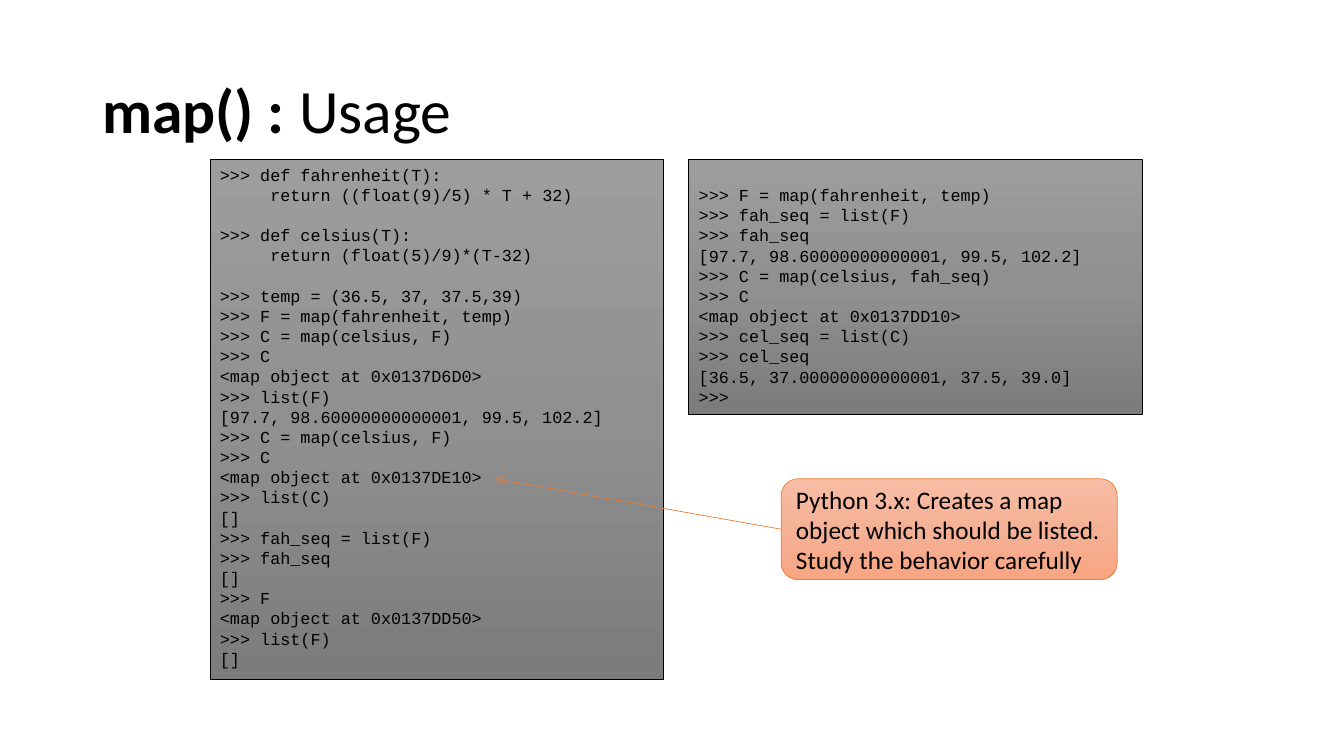
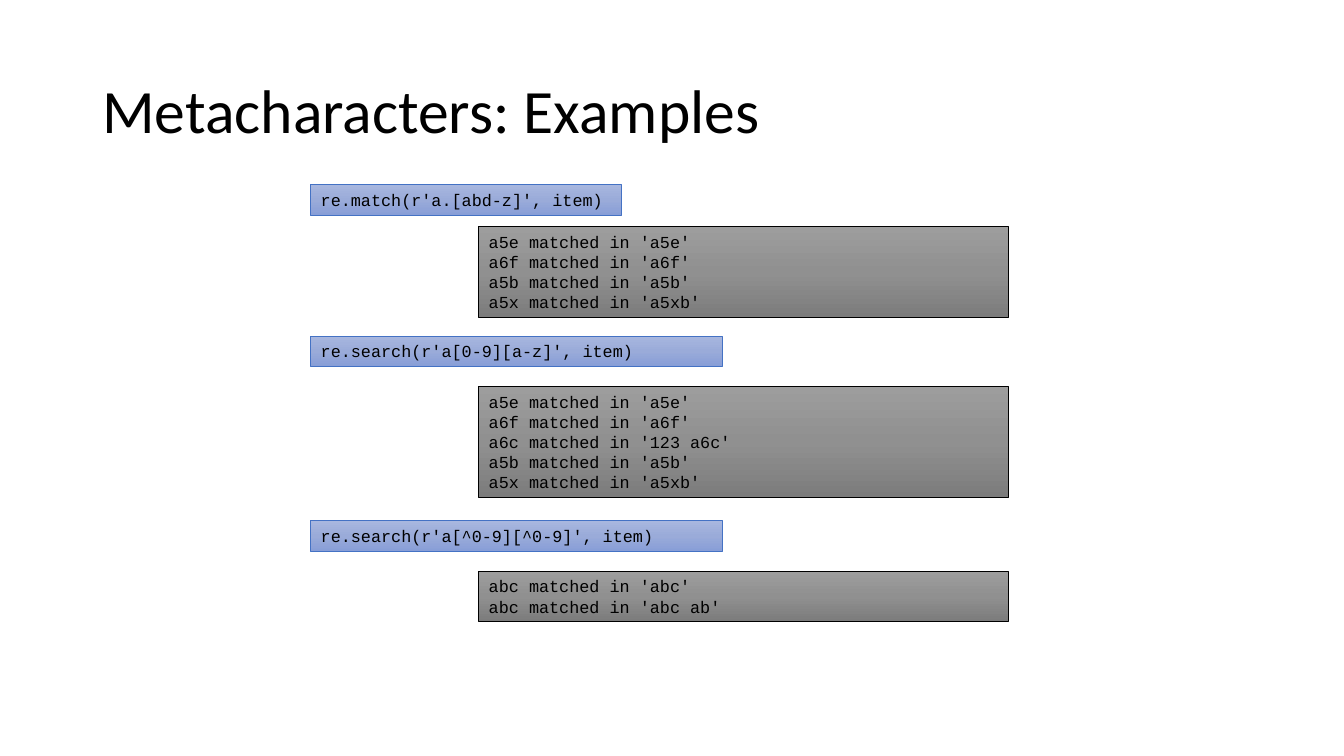
import copy

import pptx
import pptx.dml.color
import pptx.enum.shapes
import pptx.enum.text
import pptx.oxml
import pptx.oxml.ns
import pptx.util

Pt = pptx.util.Pt
RGB = pptx.dml.color.RGBColor.from_string
SHAPE = pptx.enum.shapes.MSO_SHAPE
ANCHOR = pptx.enum.text.MSO_ANCHOR
qn = pptx.oxml.ns.qn

COLORS = {"text": "000000", "code": "000000", "label": "4472C4", "callout": "ED7D31"}
GRADIENTS = {
    "code": ("9D9D9D", "909090", "7C7C7C"),
    "label": ("A8B7DF", "9AABD9", "889ED7"),
    "callout": ("F7BDA5", "F5B196", "F8A582"),
}
TITLE_FONT = {"name": "Calibri", "size": Pt(44)}
CODE_FONT = {"name": "Courier New", "size": Pt(12)}
CALLOUT_FONT = {"name": "Calibri", "size": Pt(18)}
LINE = 14.4  # height of a line of code
INSET = 3.6  # space above and below the text of a box

prs = pptx.Presentation()
prs.slide_width, prs.slide_height = Pt(960), Pt(540)


def add_titled_slide(bold, plain):
    """Add a blank slide whose title starts in bold and goes on in regular weight."""
    s = prs.slides.add_slide(prs.slide_layouts[6])
    tf = s.shapes.add_textbox(Pt(66), Pt(29), Pt(828), Pt(104)).text_frame
    tf.word_wrap = True
    tf.vertical_anchor = ANCHOR.MIDDLE
    p = tf.paragraphs[0]
    p.line_spacing = 0.9
    for text, is_bold in ((bold, True), (plain, False)):
        if text:
            r = p.add_run()
            r.text = text
            for key, value in TITLE_FONT.items():
                setattr(r.font, key, value)
            r.font.bold = is_bold
            r.font.color.rgb = RGB(COLORS["text"])
    return s


def add_box(s, style, box, text, top_lines=0):
    """Add a gradient box; blank lines in text become space before the next line."""
    is_code = style != "callout"
    shape = SHAPE.RECTANGLE if is_code else SHAPE.ROUNDED_RECTANGLE
    sp = s.shapes.add_shape(shape, *map(Pt, box))
    sp.shadow.inherit = False
    sp.line.color.rgb = RGB(COLORS[style])
    sp.line.width = Pt(0.5)
    sp.fill.gradient()
    sp.fill.gradient_angle = 270
    stops = sp._element.spPr.find(".//" + qn("a:gsLst"))
    stops.insert(1, copy.deepcopy(stops[0]))
    for i, (stop, color) in enumerate(zip(sp.fill.gradient_stops, GRADIENTS[style])):
        stop.position = i / 2
        stop.color.rgb = RGB(color)

    tf = sp.text_frame
    tf.word_wrap = True
    tf.vertical_anchor = ANCHOR.TOP if is_code else ANCHOR.MIDDLE
    tf.margin_top = Pt(INSET + top_lines * LINE)
    p, blanks = None, 0
    for line in text.strip().split("\n"):
        if not line:
            blanks += 1
            continue
        p = tf.add_paragraph() if p else tf.paragraphs[0]
        p.alignment = pptx.enum.text.PP_ALIGN.LEFT
        if is_code:
            p.line_spacing = Pt(LINE)
            p.space_before = Pt(blanks * LINE)
        blanks = 0
        r = p.add_run()
        r.text = line
        for key, value in (CODE_FONT if is_code else CALLOUT_FONT).items():
            setattr(r.font, key, value)
        r.font.color.rgb = RGB(COLORS["text"])
    return sp


# Slide 1: using map()
s = add_titled_slide("map() : ", "Usage")
add_box(s, "code", (150, 114, 324, 371), """
>>> def fahrenheit(T):
\treturn ((float(9)/5) * T + 32)

>>> def celsius(T):
\treturn (float(5)/9)*(T-32)

>>> temp = (36.5, 37, 37.5,39)
>>> F = map(fahrenheit, temp)
>>> C = map(celsius, F)
>>> C
<map object at 0x0137D6D0>
>>> list(F)
[97.7, 98.60000000000001, 99.5, 102.2]
>>> C = map(celsius, F)
>>> C
<map object at 0x0137DE10>
>>> list(C)
[]
>>> fah_seq = list(F)
>>> fah_seq
[]
>>> F
<map object at 0x0137DD50>
>>> list(F)
[]
""")
add_box(s, "code", (492, 114, 324, 182), """
>>> F = map(fahrenheit, temp)
>>> fah_seq = list(F)
>>> fah_seq
[97.7, 98.60000000000001, 99.5, 102.2]
>>> C = map(celsius, fah_seq)
>>> C
<map object at 0x0137DD10>
>>> cel_seq = list(C)
>>> cel_seq
[36.5, 37.00000000000001, 37.5, 39.0]
>>>
""", top_lines=1)
callout = add_box(
    s, "callout", (558, 342, 240, 72),
    "Python 3.x: Creates a map object which should be listed. Study the behavior carefully",
)
arrow = s.shapes.add_connector(
    pptx.enum.shapes.MSO_CONNECTOR.STRAIGHT, Pt(558), Pt(378), Pt(354), Pt(342)
)
arrow.begin_connect(callout, 1)
arrow.line.color.rgb = RGB(COLORS["callout"])
arrow.line.width = Pt(0.5)
head = pptx.oxml.parse_xml(f'<a:tailEnd {pptx.oxml.ns.nsdecls("a")} type="arrow"/>')
arrow.line._get_or_add_ln().append(head)
arrow._element.spPr.append(
    pptx.oxml.parse_xml(f'<a:effectLst {pptx.oxml.ns.nsdecls("a")}/>')
)

# Slide 2: patterns, each with its matches below
s = add_titled_slide("", "Metacharacters: Examples")
examples = [
    (132, 162, 222, "re.match(r'a.[abd-z]', item)", """
a5e matched in 'a5e'
a6f matched in 'a6f'
a5b matched in 'a5b'
a5x matched in 'a5xb'
"""),
    (240, 276, 294, "re.search(r'a[0-9][a-z]', item)", """
a5e matched in 'a5e'
a6f matched in 'a6f'
a6c matched in '123 a6c'
a5b matched in 'a5b'
a5x matched in 'a5xb'
"""),
    (372, 408, 294, "re.search(r'a[^0-9][^0-9]', item)", """
abc matched in 'abc'
abc matched in 'abc ab'
"""),
]
for call_top, matches_top, call_width, call, matches in examples:
    add_box(s, "label", (222, call_top, call_width, LINE + 2 * INSET), call)
    height = len(matches.strip().split("\n")) * LINE + 2 * INSET
    add_box(s, "code", (342, matches_top, 378, height), matches)

prs.save("out.pptx")
